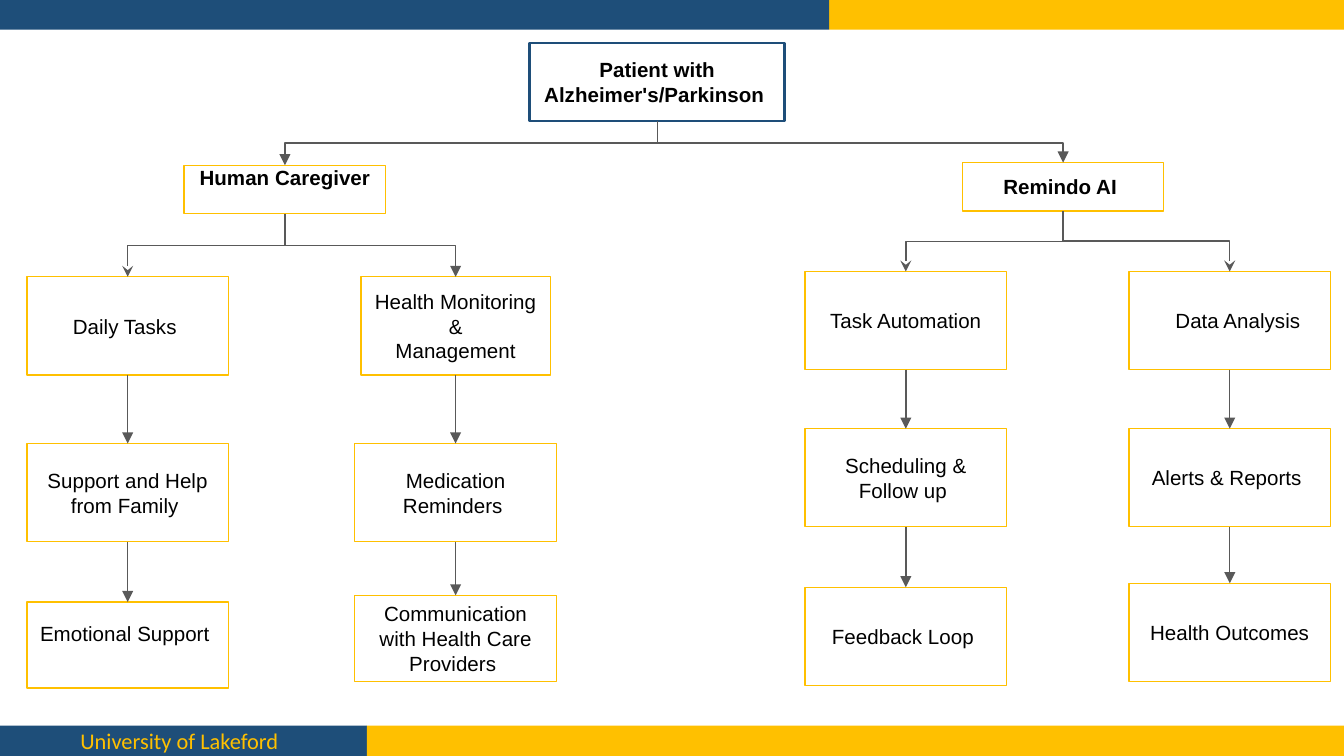
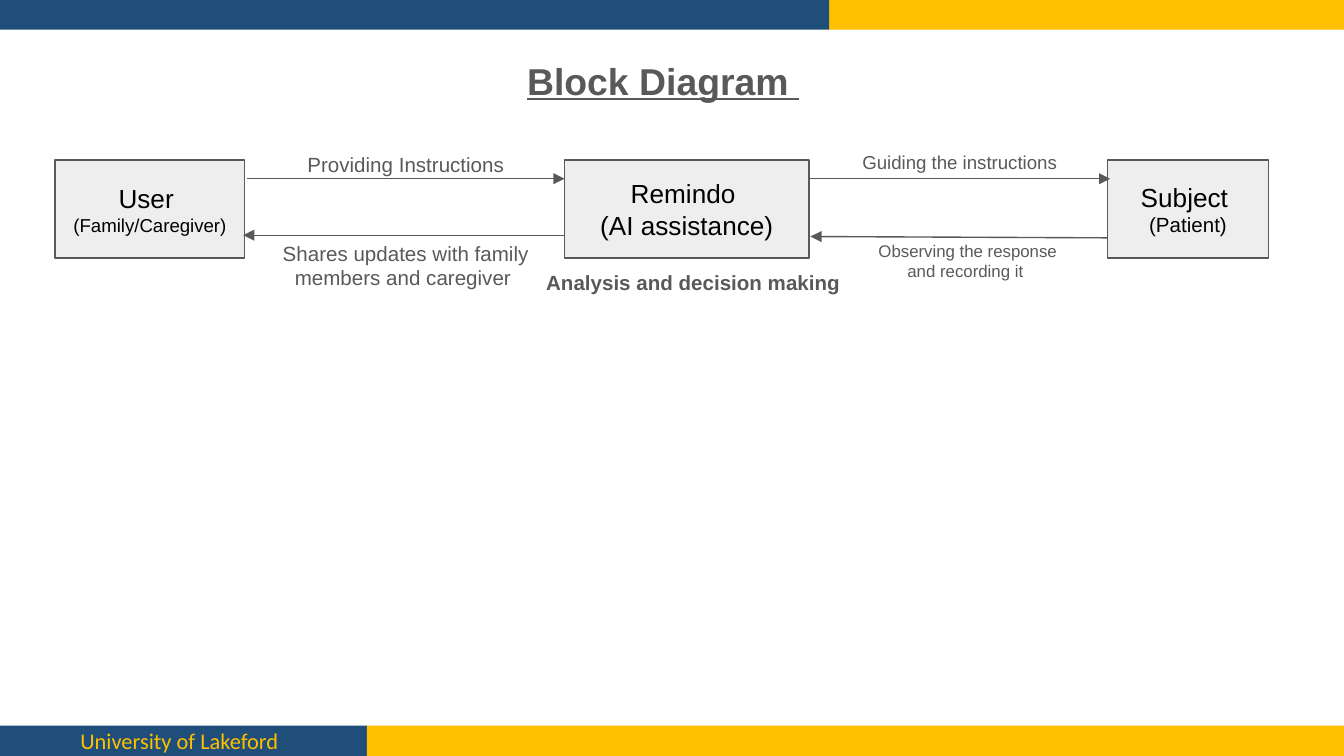
from dataclasses import dataclass

from lxml.etree import SubElement
from pptx import Presentation
from pptx.dml.color import RGBColor
from pptx.enum.shapes import MSO_CONNECTOR as Link, MSO_SHAPE as Preset
from pptx.enum.text import MSO_ANCHOR as Anchor, PP_ALIGN as Align
from pptx.oxml.ns import qn
from pptx.util import Inches, Pt

COLUMNS = 100  # square grid cells across the slide
ROWS = 56.25


@dataclass(frozen=True)
class Theme:
    blue: str = "1E4E79"
    gold: str = "FFC000"
    grey: str = "595959"
    pale: str = "EEEEEE"
    white: str = "FFFFFF"
    black: str = "000000"
    font: str = "Arial"
    footer_font: str = "Calibri"
    title: int = 20
    large: int = 14
    footer: int = 12
    body: int = 11
    small: int = 10
    tiny: int = 9
    thin: float = 0.75
    thick: float = 1.5


class Painter:
    """Draws on the current slide; every length is in grid cells."""

    def __init__(self, deck, theme):
        self.deck, self.theme = deck, theme
        self.cell = deck.slide_width / COLUMNS
        self.page = None

    def grid(self, *lengths):
        return [round(length * self.cell) for length in lengths]

    def new_page(self):
        theme = self.theme
        self.page = self.deck.slides.add_slide(self.deck.slide_layouts[6])
        foot = ROWS - 2.25
        self.box((0, foot, 27.3, 2.25), theme.blue)
        self.box((27.3, foot, 72.7, 2.25), theme.gold)
        self.box((61.7, 0, 38.3, 2.2), theme.gold)
        self.box((0, 0, 61.7, 2.2), theme.blue)
        label = self.label("University of Lakeford", (0, foot, 27.3, 2.25), theme.footer,
                           color=theme.gold, font=theme.footer_font,
                           align=Align.LEFT, anchor=Anchor.MIDDLE)
        indent = label.text_frame.paragraphs[0]._p.get_or_add_pPr()
        indent.set("indent", str(Inches(0.5)))

    def box(self, area, fill, line=None, width=None):
        box = self.page.shapes.add_shape(Preset.RECTANGLE, *self.grid(*area))
        box.shadow.inherit = False
        box.fill.solid()
        box.fill.fore_color.rgb = RGBColor.from_string(fill)
        if line:
            box.line.color.rgb = RGBColor.from_string(line)
            box.line.width = Pt(width or self.theme.thin)
        else:
            box.line.fill.background()
        return box

    def set_text(self, shape, text, sizes, color=None, font=None, bold=None,
                 underline=None, align=Align.CENTER, anchor=Anchor.MIDDLE):
        """Sets the text; sizes holds one type size, or one for each paragraph."""
        frame = shape.text_frame
        frame.word_wrap = True
        frame.vertical_anchor = anchor
        frame.margin_left = frame.margin_right = Inches(0.1)
        frame.margin_top = frame.margin_bottom = Inches(0.1)
        frame.text = text
        if isinstance(sizes, int):
            sizes = [sizes] * len(frame.paragraphs)
        for para, size in zip(frame.paragraphs, sizes):
            para.alignment = align
            for span in para.runs:
                span.font.name = font or self.theme.font
                span.font.size = Pt(size)
                span.font.bold = bold
                span.font.underline = underline
                span.font.color.rgb = RGBColor.from_string(color or self.theme.black)

    def label(self, text, area, size, color=None, anchor=Anchor.TOP, **style):
        label = self.page.shapes.add_textbox(*self.grid(*area))
        self.set_text(label, text, size, color or self.theme.grey, anchor=anchor, **style)
        return label

    def node(self, text, area, bold=None, align=Align.CENTER, raised=False,
             line=None, width=None):
        """Adds a chart box; raised lifts its text by half a line."""
        node = self.box(area, self.theme.white, line or self.theme.gold, width)
        self.set_text(node, text, self.theme.body, bold=bold, align=align)
        if raised:
            node.text_frame.margin_top = 0
            node.text_frame.margin_bottom = Inches(0.18)
        return node

    def connector(self, kind, points, head="triangle"):
        """Adds an arrow; points are in slide units."""
        arrow = self.page.shapes.add_connector(kind, *points)
        arrow.line.color.rgb = RGBColor.from_string(self.theme.grey)
        arrow.line.width = Pt(self.theme.thin)
        properties = arrow._element.spPr
        SubElement(properties.find(qn("a:ln")), qn("a:tailEnd"), type=head)
        SubElement(properties, qn("a:effectLst"))
        return arrow

    def arrow(self, *points):
        return self.connector(Link.STRAIGHT, self.grid(*points))

    def drop(self, upper, lower):
        arrow = self.connector(Link.STRAIGHT, (0, 0, 0, 0))
        arrow.begin_connect(upper, 2)
        arrow.end_connect(lower, 0)

    def fork(self, parent, left, right, heads):
        """Joins a parent to two children with elbows that share a stem."""
        center = parent.left + parent.width // 2
        bottom = parent.top + parent.height
        end, drop = left.left + left.width // 2, left.top - bottom
        span, turn = center - end, bottom + drop // 2
        # A quarter turn about the middle makes the elbow leave downwards.
        x, y = (center + end - drop) // 2, turn - span // 2
        elbow = self.connector(Link.ELBOW, (x, y, x + drop, y + span), heads[0])
        elbow._element.spPr.find(qn("a:xfrm")).set("rot", str(90 * 60000))

        end = right.left + right.width // 2
        elbow = self.connector(Link.ELBOW, (center, turn, end, right.top), heads[1])
        elbow._element.spPr.find(qn("a:prstGeom")).set("prst", "bentConnector2")


def draw_column(painter, left, steps):
    """Stacks boxes joined by arrows and returns the first one."""
    nodes = [painter.node(text, (left + inset, top, 15 - 2 * inset, height), **style)
             for text, top, height, inset, style in steps]
    for upper, lower in zip(nodes, nodes[1:]):
        painter.drop(upper, lower)
    return nodes[0]


def draw_care_tree(painter):
    theme = painter.theme
    painter.new_page()
    patient = painter.node("Patient with Alzheimer's/Parkinson ", (39.4, 3.2, 19, 5.8),
                           bold=True, line=theme.blue, width=theme.thick)
    caregiver = painter.node("Human Caregiver", (13.7, 12.3, 15, 3.6),
                             bold=True, raised=True)
    assistant = painter.node("Remindo AI ", (71.6, 12.1, 15, 3.6), bold=True)

    daily = draw_column(painter, 2, [
        ("Daily Tasks ", 20.6, 7.3, 0, {}),
        ("Support and Help from Family ", 33, 7.3, 0, {}),
        ("Emotional Support", 44.8, 6.4, 0, {"align": Align.LEFT, "raised": True}),
    ])
    health = draw_column(painter, 26.4, [
        ("Health Monitoring\n&\nManagement", 20.6, 7.3, 0.45, {}),
        ("Medication Reminders ", 33, 7.3, 0, {}),
        ("Communication with Health Care\nProviders ", 44.3, 6.4, 0, {}),
    ])
    automation = draw_column(painter, 59.9, [
        ("Task Automation", 20.2, 7.3, 0, {}),
        ("Scheduling & Follow up ", 31.9, 7.3, 0, {}),
        ("Feedback Loop ", 43.7, 7.3, 0, {}),
    ])
    analysis = draw_column(painter, 84, [
        ("Data Analysis", 20.2, 7.3, 0, {}),
        ("Alerts & Reports ", 31.9, 7.3, 0, {}),
        ("Health Outcomes", 43.4, 7.3, 0, {}),
    ])
    analysis.text_frame.margin_left = Inches(0.22)

    painter.fork(caregiver, daily, health, ("stealth", "triangle"))
    painter.fork(assistant, automation, analysis, ("stealth", "stealth"))
    painter.fork(patient, caregiver, assistant, ("triangle", "triangle"))


def draw_block_diagram(painter):
    theme = painter.theme
    painter.new_page()
    painter.label("Block Diagram ", (30.6, 3.3, 37.5, 4.1), theme.title,
                  bold=True, underline=True)
    for text, left, width, sizes in [
        ("User \n(Family/Caregiver)", 4.1, 14.1, (theme.large, theme.small)),
        ("Remindo \n(AI assistance)", 42, 18.2, theme.large),
        ("Subject \n(Patient)", 82.4, 12, (theme.large, theme.body)),
    ]:
        block = painter.box((left, 11.9, width, 7.3), theme.pale, theme.grey)
        painter.set_text(block, text, sizes)

    painter.arrow(18.4, 13.3, 42, 13.3)
    painter.arrow(60.2, 13.3, 82.6, 13.3)
    painter.arrow(42, 17.5, 18.1, 17.5)
    painter.arrow(82.4, 17.7, 60.3, 17.6)

    for text, left, top, width, size in [
        ("Providing Instructions", 17.7, 10.4, 25, theme.body),
        ("Guiding the instructions", 58.9, 10.4, 25, theme.small),
        ("Shares updates with family members and caregiver ", 17.7, 16.9, 25, theme.body),
        ("Observing the response and recording it ", 64, 16.9, 16, theme.tiny),
    ]:
        painter.label(text, (left, top, width, 4.6), size)
    painter.label("Analysis and decision making ", (39.3, 19.2, 25, 4.6),
                  theme.body, bold=True)


def main():
    deck = Presentation()
    deck.slide_width, deck.slide_height = Inches(10), Inches(5.625)
    painter = Painter(deck, Theme())
    draw_care_tree(painter)
    draw_block_diagram(painter)
    deck.save("out.pptx")


if __name__ == "__main__":
    main()
